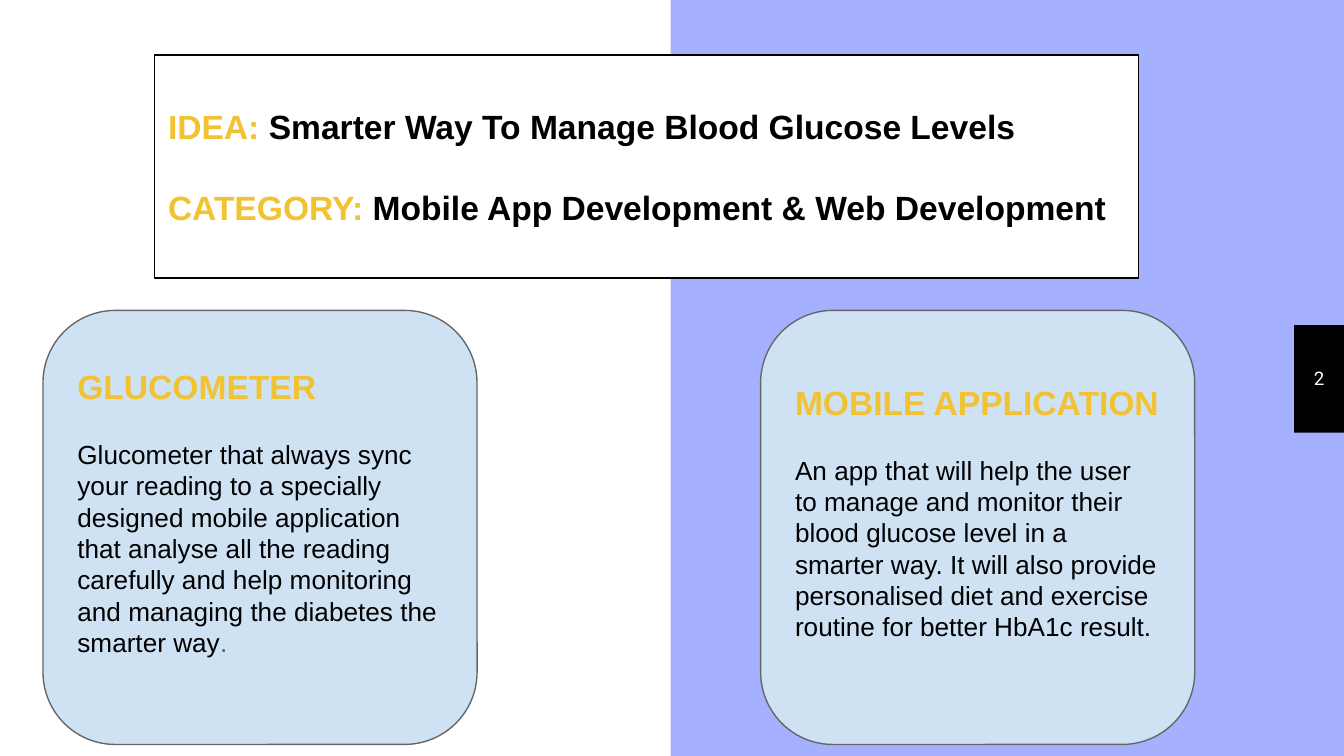
from dataclasses import dataclass

from pptx import Presentation
from pptx import util as u
from pptx.dml.color import RGBColor
from pptx.enum import shapes, text


@dataclass(frozen=True)
class Theme:
    background: str = "A5B0FE"
    panel: str = "FFFFFF"
    ink: str = "000000"
    accent: str = "F1C232"
    card: str = "CFE2F3"
    card_line: str = "666666"
    muted: str = "5C5C5C"
    font: str = "Arial"
    number_font: str = "Roboto"
    heading_size: float = 18
    body_size: float = 14
    number_size: float = 10


THEME = Theme()
WIDTH = 10
HEIGHT = WIDTH * 9 / 16
MARGIN = 0.1

# Card row: equal squares at a constant column pitch
CARD_LEFT, CARD_TOP, CARD_SIZE, CARD_PITCH = 0.32, 2.31, 3.23, 5.34

CARDS = [
    ("GLUCOMETER",
     [("Glucometer that always sync your reading to a specially designed mobile "
       "application that analyse all the reading carefully and help monitoring "
       "and managing the diabetes the smarter way", THEME.ink),
      (".", THEME.muted)]),
    ("MOBILE APPLICATION",
     [("An app that will help the user to manage and monitor their blood glucose "
       "level in a smarter way. It will also provide personalised diet and "
       "exercise routine for better HbA1c result.", THEME.ink)]),
]


def rgb(value):
    return RGBColor.from_string(value)


def paint(shape, fill, line=None):
    shape.fill.solid()
    shape.fill.fore_color.rgb = rgb(fill)
    if line:
        shape.line.color.rgb = rgb(line)
        shape.line.width = u.Pt(0.75)
    else:
        shape.line.fill.background()


def add_block(slide, kind, box, fill, line=None):
    shape = slide.shapes.add_shape(kind, *map(u.Inches, box))
    shape.shadow.inherit = False
    paint(shape, fill, line)
    return shape


def prepare_frame(shape, bottom=MARGIN):
    frame = shape.text_frame
    frame.word_wrap = True
    frame.auto_size = text.MSO_AUTO_SIZE.NONE
    frame.vertical_anchor = text.MSO_ANCHOR.MIDDLE
    frame.margin_left = frame.margin_right = frame.margin_top = u.Inches(MARGIN)
    frame.margin_bottom = u.Inches(bottom)
    return frame


def write(paragraph, pieces, size, bold=False, gap=0, font=THEME.font,
          align=text.PP_ALIGN.LEFT):
    """Fill a paragraph with (wording, colour) pieces."""
    paragraph.alignment = align
    paragraph.space_before = u.Pt(gap)
    paragraph.line_spacing = 1.0
    for wording, colour in pieces:
        run = paragraph.add_run()
        run.text = wording
        run.font.name = font
        run.font.size = u.Pt(size)
        run.font.bold = bold
        run.font.color.rgb = rgb(colour)


def add_backdrop(slide):
    slide.background.fill.solid()
    slide.background.fill.fore_color.rgb = rgb(THEME.background)
    panel = add_block(slide, shapes.MSO_SHAPE.RECTANGLE,
                      (0, 0, 4.99, HEIGHT), THEME.panel)
    # The panel belongs behind the title
    slide.shapes.title.element.addprevious(panel.element)


def add_title(slide):
    title = slide.shapes.title
    title.left, title.top, title.width, title.height = map(
        u.Inches, (1.15, 0.41, 7.32, 1.66))
    paint(title, THEME.panel, THEME.ink)
    frame = prepare_frame(title)
    lines = [("IDEA: ", "Smarter Way To Manage Blood Glucose Levels"),
             ("CATEGORY: ", "Mobile App Development & Web Development")]
    for index, (label, wording) in enumerate(lines):
        paragraph = frame.add_paragraph() if index else frame.paragraphs[0]
        write(paragraph, [(label, THEME.accent), (wording, THEME.ink)],
              THEME.heading_size, bold=True, gap=21.6 * index)


def add_card(slide, column, heading, body):
    left = CARD_LEFT + column * CARD_PITCH
    card = add_block(slide, shapes.MSO_SHAPE.ROUNDED_RECTANGLE,
                     (left, CARD_TOP, CARD_SIZE, CARD_SIZE),
                     THEME.card, THEME.card_line)
    # The deeper bottom margin lifts the centred text
    frame = prepare_frame(card, bottom=0.33)
    write(frame.paragraphs[0], [(heading, THEME.accent)],
          THEME.heading_size, bold=True)
    write(frame.add_paragraph(), body, THEME.body_size, gap=17)


def add_page_number(slide, number):
    tab = add_block(slide, shapes.MSO_SHAPE.RECTANGLE,
                    (WIDTH - 0.37, 2.42, 0.37, 0.8), THEME.ink)
    label = slide.shapes.add_textbox(tab.left, u.Inches(2.41),
                                     tab.width, tab.height)
    write(prepare_frame(label).paragraphs[0], [(str(number), THEME.panel)],
          THEME.number_size, font=THEME.number_font,
          align=text.PP_ALIGN.CENTER)


def main():
    presentation = Presentation()
    presentation.slide_width = u.Inches(WIDTH)
    presentation.slide_height = u.Inches(HEIGHT)
    title_only = presentation.slide_layouts[5]
    slide = presentation.slides.add_slide(title_only)

    add_backdrop(slide)
    add_page_number(slide, 2)
    add_title(slide)
    for column, (heading, body) in enumerate(CARDS):
        add_card(slide, column, heading, body)

    presentation.save("out.pptx")


if __name__ == "__main__":
    main()
